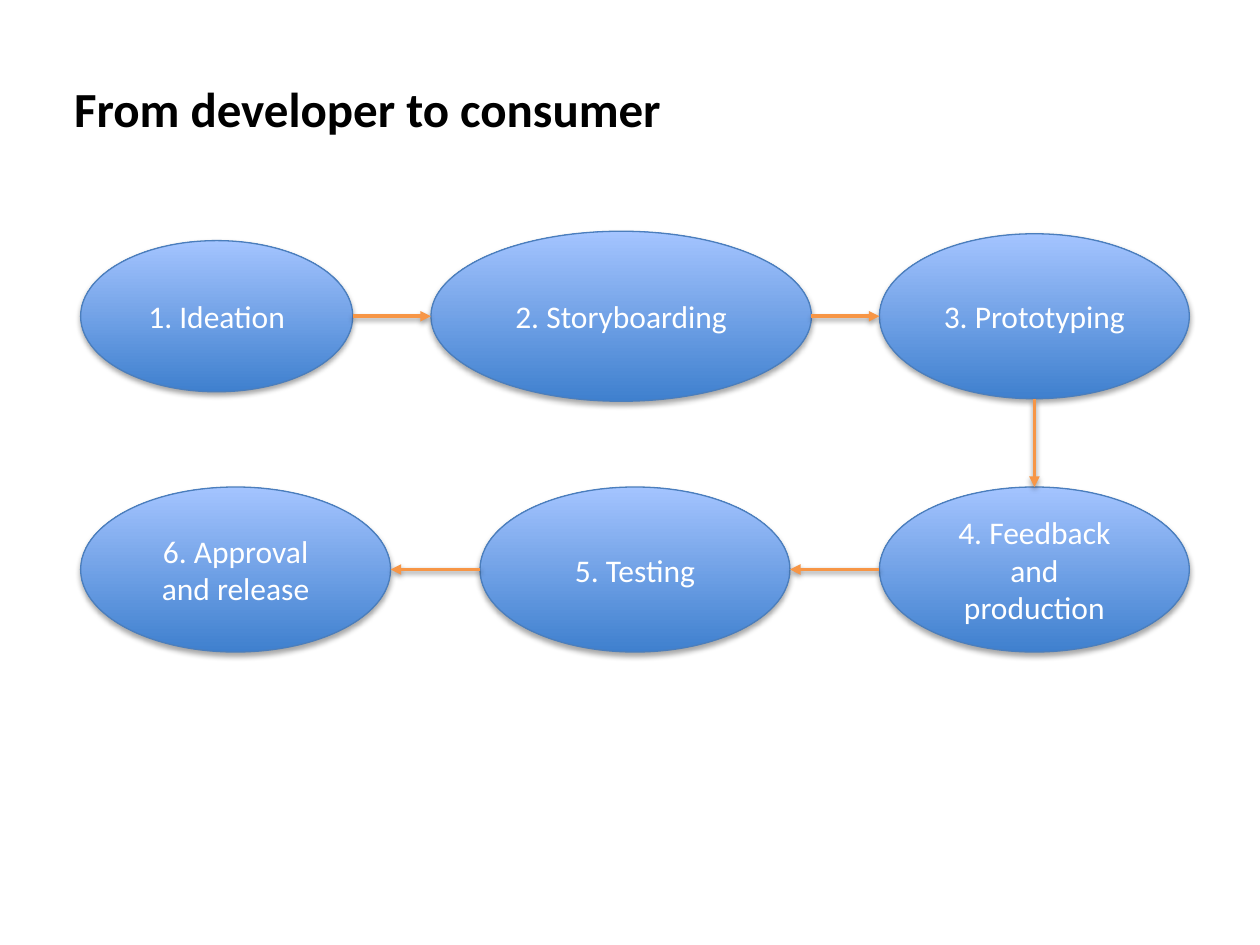
from dataclasses import dataclass

from lxml.etree import SubElement
from pptx import Presentation
from pptx.dml.color import RGBColor
from pptx.enum.shapes import MSO_CONNECTOR, MSO_SHAPE
from pptx.enum.text import MSO_ANCHOR, PP_ALIGN
from pptx.oxml.ns import qn
from pptx.slide import Slide
from pptx.text.text import TextFrame
from pptx.util import Inches, Pt

TOP, LOW = 2.51, 4.52


@dataclass
class Step:
    """An oval stage of the process, sized in inches."""
    text: str
    left: float
    mid: float
    width: float = 2.46
    height: float = 1.31

    @property
    def right(self) -> float:
        """Return the right edge."""
        return self.left + self.width

    @property
    def center(self) -> float:
        """Return the horizontal centre."""
        return self.left + self.width / 2


STEPS = [
    Step("1. Ideation", 0.64, TOP, 2.16, 1.2),
    Step("2. Storyboarding", 3.42, TOP, 3.02, 1.35),
    Step("3. Prototyping", 6.98, TOP),
    Step("4. Feedback and production", 6.98, LOW),
    Step("5. Testing", 3.81, LOW),
    Step("6. Approval and release", 0.64, LOW),
]


def color(code: str) -> RGBColor:
    """Turn a hex string into a colour."""
    return RGBColor.from_string(code)


def write(frame: TextFrame, text: str, size: int, code: str, bold: bool = False) -> None:
    """Fill a frame with one formatted, vertically centred paragraph."""
    frame.text = text
    frame.word_wrap = True
    frame.vertical_anchor = MSO_ANCHOR.MIDDLE
    font = frame.paragraphs[0].runs[0].font
    font.name = "Calibri"
    font.size = Pt(size)
    font.bold = bold
    font.color.rgb = color(code)


def shade(effects, dist: float, alpha: int) -> None:
    """Add a soft black shadow below to an effect list."""
    outer = SubElement(effects, qn("a:outerShdw"), blurRad=str(Pt(3.1)),
                       dist=str(Pt(dist)), dir="5400000", rotWithShape="0")
    black = SubElement(outer, qn("a:srgbClr"), val="000000")
    SubElement(black, qn("a:alpha"), val=str(alpha * 1000))


def draw_step(slide: Slide, step: Step) -> None:
    """Draw one stage as a shaded oval."""
    oval = slide.shapes.add_shape(
        MSO_SHAPE.OVAL, Inches(step.left), Inches(step.mid - step.height / 2),
        Inches(step.width), Inches(step.height))
    oval.fill.gradient()
    oval.fill.gradient_angle = 90
    for stop, code in zip(oval.fill.gradient_stops, ("3F80CE", "A4C4FF")):
        stop.color.rgb = color(code)
    oval.line.color.rgb = color("4B7EBC")
    oval.line.width = Pt(0.75)
    oval.shadow.inherit = False
    shade(oval._element.spPr.find(qn("a:effectLst")), 1.8, 35)
    write(oval.text_frame, step.text, 18, "FFFFFF")
    oval.text_frame.paragraphs[0].alignment = PP_ALIGN.CENTER


def draw_arrow(slide: Slide, start: Step, end: Step) -> None:
    """Draw an arrow between the facing edges of two stages."""
    if start.mid != end.mid:
        ends = (start.center, start.mid + start.height / 2,
                end.center, end.mid - end.height / 2)
    elif start.left < end.left:
        ends = start.right, start.mid, end.left, end.mid
    else:
        ends = start.left, start.mid, end.right, end.mid
    arrow = slide.shapes.add_connector(MSO_CONNECTOR.STRAIGHT, *map(Inches, ends))
    arrow.line.color.rgb = color("F79646")
    arrow.line.width = Pt(2)
    SubElement(arrow.line._get_or_add_ln(), qn("a:tailEnd"), type="triangle")
    shade(SubElement(arrow._element.spPr, qn("a:effectLst")), 1.6, 38)


def main() -> None:
    """Build and save the slide."""
    deck = Presentation()
    deck.slide_width, deck.slide_height = Inches(10), Inches(7.5)
    slide = deck.slides.add_slide(deck.slide_layouts[6])
    title = slide.shapes.add_textbox(Inches(0.49), Inches(0.43), Inches(9), Inches(0.85))
    write(title.text_frame, "From developer to consumer", 28, "000000", True)
    title.text_frame.paragraphs[0].space_before = Pt(5.6)
    for step in STEPS:
        draw_step(slide, step)
    for start, end in zip(STEPS, STEPS[1:]):
        draw_arrow(slide, start, end)
    deck.save("out.pptx")


if __name__ == "__main__":
    main()
